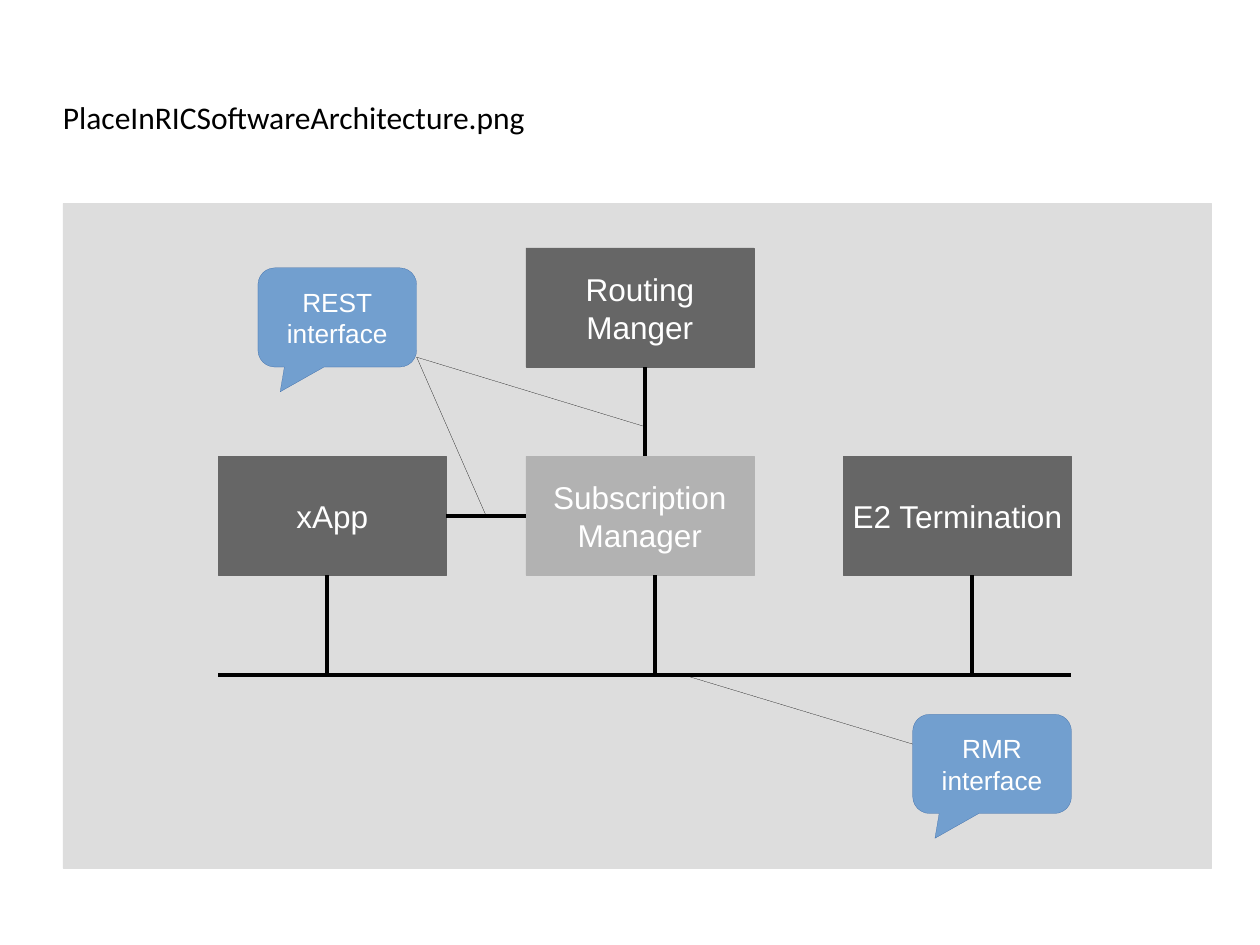
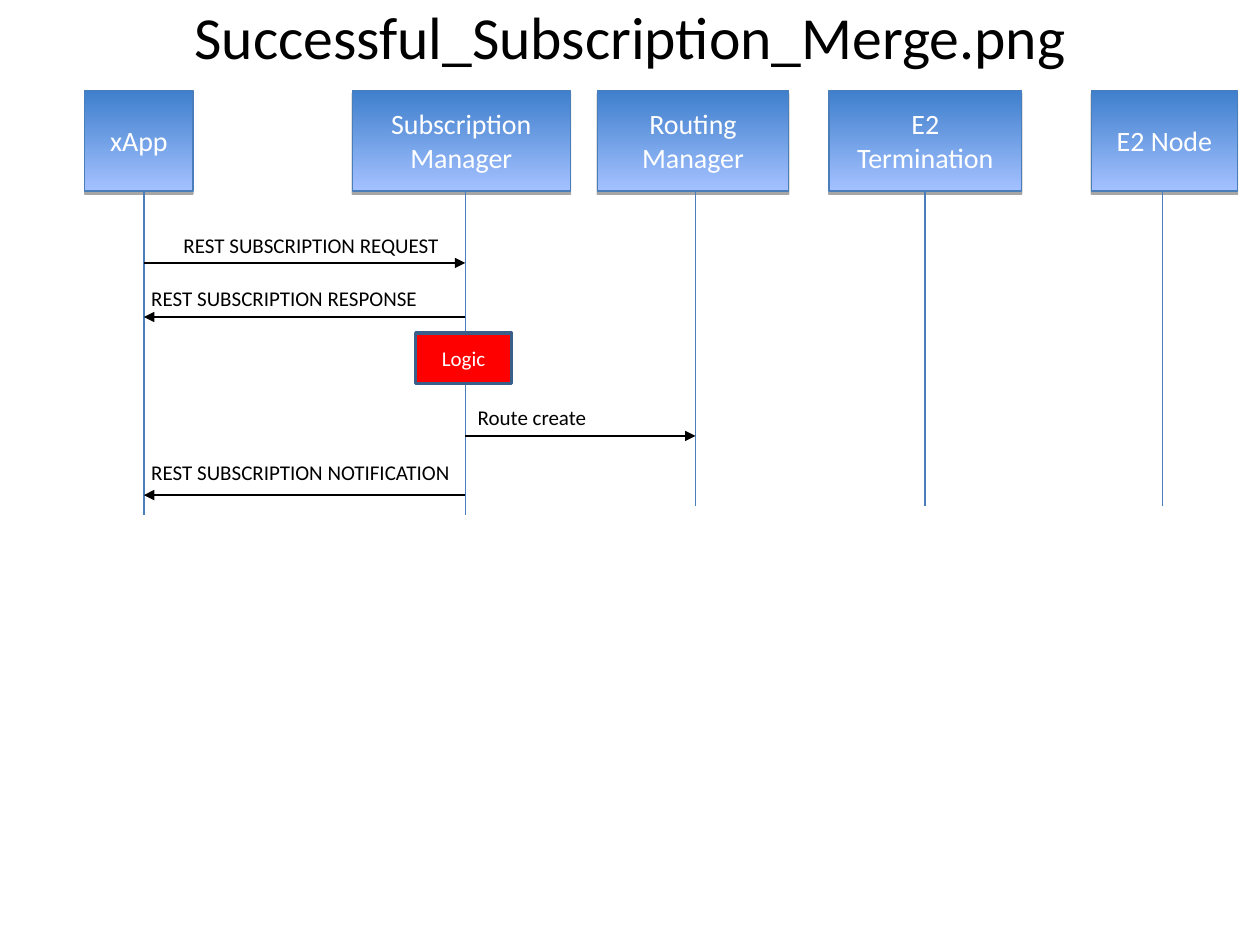
from dataclasses import dataclass

from lxml import etree
from pptx import Presentation
from pptx.dml.color import RGBColor
from pptx.enum.shapes import MSO_CONNECTOR, MSO_SHAPE
from pptx.enum.text import MSO_ANCHOR, PP_ALIGN
from pptx.oxml.ns import qn
from pptx.shapes.autoshape import Shape
from pptx.slide import Slide
from pptx.util import Cm, Pt

RECT = MSO_SHAPE.RECTANGLE
CALLOUT = MSO_SHAPE.ROUNDED_RECTANGULAR_CALLOUT
STRAIGHT = MSO_CONNECTOR.STRAIGHT
LEFT, CENTER = PP_ALIGN.LEFT, PP_ALIGN.CENTER
TOP, MIDDLE = MSO_ANCHOR.TOP, MSO_ANCHOR.MIDDLE

BLACK = RGBColor(0x00, 0x00, 0x00)
WHITE = RGBColor(0xFF, 0xFF, 0xFF)
PANEL_GRAY = RGBColor(0xDD, 0xDD, 0xDD)
DARK_GRAY = RGBColor(0x66, 0x66, 0x66)
MID_GRAY = RGBColor(0xB2, 0xB2, 0xB2)
CALLOUT_FILL = RGBColor(0x72, 0x9F, 0xCF)
CALLOUT_LINE = RGBColor(0x34, 0x65, 0xA4)
ACTOR_TOP = RGBColor(0x3E, 0x7F, 0xCC)
ACTOR_BOTTOM = RGBColor(0xA4, 0xC1, 0xFF)
ACTOR_LINE = RGBColor(0x4A, 0x7E, 0xBB)
LOGIC_FILL = RGBColor(0xFF, 0x00, 0x00)
LOGIC_LINE = RGBColor(0x3A, 0x5F, 0x8B)

BODY_FONT, DIAGRAM_FONT = "Calibri", "Arial"
HAIRLINE = 0.1

COMPONENT_W, COMPONENT_H = 4.6, 2.4
ROW_Y, ROUTING_Y, BUS_Y = 9.2, 5.0, 13.6
CALLOUT_W, CALLOUT_H = 3.2, 2.0
ACTOR_Y, ACTOR_H = 1.82, 2.03
LABEL_H = 0.76

Point = tuple[float, float]
Box = tuple[float, float, float, float]


@dataclass(frozen=True)
class Component:
    text: str
    x: float
    y: float = ROW_Y
    fill: RGBColor = DARK_GRAY


@dataclass(frozen=True)
class Callout:
    text: str
    x: float
    y: float


@dataclass(frozen=True)
class Actor:
    text: str
    x: float
    w: float
    life_x: float
    life_end: float = 10.21


@dataclass(frozen=True)
class Message:
    text: str
    start: float
    end: float
    y: float
    label_x: float
    label_y: float
    label_w: float


COMPONENTS = [
    Component("xApp", 4.4),
    Component("Subscription\nManager", 10.6, fill=MID_GRAY),
    Component("E2 Termination", 17.0),
    Component("Routing\nManger", 10.6, y=ROUTING_Y),
]
CALLOUTS = [
    Callout("REST\ninterface", 5.2, 5.4),
    Callout("RMR\ninterface", 18.4, 14.4),
]
REST_CORNER = (8.4, 7.2)
BUS_LINKS = [
    ((13.0, ROUTING_Y + COMPONENT_H), (13.0, ROW_Y)),
    ((9.0, 10.4), (10.6, 10.4)),
    ((4.4, BUS_Y), (21.6, BUS_Y)),
    *[((x, ROW_Y + COMPONENT_H), (x, BUS_Y)) for x in (6.6, 13.2, 19.6)],
]
CALLOUT_LINKS = [
    ((13.0, 8.6), REST_CORNER),
    ((9.8, 10.4), REST_CORNER),
    ((18.4, 15.0), (13.76, BUS_Y)),
]

XAPP_X, SUBSCRIPTION_X, ROUTING_X = 2.9, 9.38, 14.02
ACTORS = [
    Actor("xApp", 1.71, 2.18, XAPP_X, 10.39),
    Actor("Subscription Manager", 7.1, 4.4, SUBSCRIPTION_X, 10.39),
    Actor("Routing\nManager", 12.04, 3.86, ROUTING_X),
    Actor("E2 Termination", 16.71, 3.89, 18.65),
    Actor("E2 Node", 22.0, 2.95, 23.44),
]
MESSAGES = [
    Message("REST SUBSCRIPTION REQUEST", XAPP_X, SUBSCRIPTION_X, 5.3,
            3.45, 4.57, 6.0),
    Message("REST SUBSCRIPTION RESPONSE", SUBSCRIPTION_X, XAPP_X, 6.39,
            2.8, 5.64, 7.49),
    Message("Route create", SUBSCRIPTION_X, ROUTING_X, 8.79,
            9.38, 8.03, 3.71),
    Message("REST SUBSCRIPTION NOTIFICATION", SUBSCRIPTION_X, XAPP_X, 9.98,
            2.8, 9.14, 8.41),
]


def put_text(sp: Shape, text: str, *, size: float, font: str = BODY_FONT,
             color: RGBColor = WHITE, align: PP_ALIGN = CENTER,
             anchor: MSO_ANCHOR = MIDDLE, wrap: bool = True,
             spacing: float = 1.0, inset: bool = True) -> None:
    tf = sp.text_frame
    tf.word_wrap = wrap
    tf.vertical_anchor = anchor
    if not inset:
        tf.margin_left = tf.margin_right = tf.margin_top = tf.margin_bottom = 0
    for i, line in enumerate(text.split("\n")):
        p = tf.paragraphs[0] if i == 0 else tf.add_paragraph()
        p.alignment = align
        p.line_spacing = spacing
        r = p.add_run()
        r.text = line
        r.font.name = font
        r.font.size = Pt(size)
        r.font.color.rgb = color


def add_text(s: Slide, box: Box, text: str, **fmt) -> None:
    put_text(s.shapes.add_textbox(*map(Cm, box)), text, color=BLACK, **fmt)


def add_box(s: Slide, box: Box, fill: RGBColor, line: RGBColor,
            width: float = HAIRLINE, kind: MSO_SHAPE = RECT) -> Shape:
    sp = s.shapes.add_shape(kind, *map(Cm, box))
    sp.shadow.inherit = False
    sp.fill.solid()
    sp.fill.fore_color.rgb = fill
    sp.line.color.rgb = line
    sp.line.width = Pt(width)
    return sp


def add_line(s: Slide, start: Point, end: Point, color: RGBColor = BLACK,
             width: float = 0.75, arrow: bool = False) -> None:
    line = s.shapes.add_connector(STRAIGHT, *map(Cm, (*start, *end)))
    line.line.color.rgb = color
    line.line.width = Pt(width)
    if arrow:
        etree.SubElement(line.get_or_add_ln(), qn("a:tailEnd"), type="triangle")
    etree.SubElement(line.element.spPr, qn("a:effectLst"))


def add_actor(s: Slide, actor: Actor) -> None:
    sp = add_box(s, (actor.x, ACTOR_Y, actor.w, ACTOR_H), ACTOR_TOP,
                 ACTOR_LINE, 0.75)
    sp.fill.gradient()
    sp.fill.gradient_angle = 270
    for stop, color in zip(sp.fill.gradient_stops, (ACTOR_TOP, ACTOR_BOTTOM)):
        stop.color.rgb = color
    effects = sp.element.spPr.find(qn("a:effectLst"))
    shadow = etree.SubElement(effects, qn("a:outerShdw"), blurRad="0",
                              dist=str(Pt(1.8)), dir="5400000",
                              rotWithShape="0")
    tint = etree.SubElement(shadow, qn("a:srgbClr"), val=str(BLACK))
    etree.SubElement(tint, qn("a:alpha"), val="35000")
    put_text(sp, actor.text, size=16)
    add_line(s, (actor.life_x, ACTOR_Y + ACTOR_H),
             (actor.life_x, actor.life_end), ACTOR_LINE)


def add_message(s: Slide, msg: Message) -> None:
    add_line(s, (msg.start, msg.y), (msg.end, msg.y), arrow=True)
    add_text(s, (msg.label_x, msg.label_y, msg.label_w, LABEL_H), msg.text,
             size=12, align=LEFT, anchor=TOP)


def build_architecture(s: Slide) -> None:
    add_box(s, (1.27, 4.1, 23.14, 13.4), PANEL_GRAY, PANEL_GRAY)
    add_text(s, (1.27, 0.76, 22.86, 3.18), "PlaceInRICSoftwareArchitecture.png",
             size=18, align=LEFT, inset=False)
    for c in COMPONENTS:
        sp = add_box(s, (c.x, c.y, COMPONENT_W, COMPONENT_H), c.fill, c.fill)
        put_text(sp, c.text, size=18, font=DIAGRAM_FONT, wrap=False)
    for start, end in BUS_LINKS:
        add_line(s, start, end, width=2.3)
    for c in CALLOUTS:
        sp = add_box(s, (c.x, c.y, CALLOUT_W, CALLOUT_H), CALLOUT_FILL,
                     CALLOUT_LINE, kind=CALLOUT)
        for i, value in enumerate((-0.36, 0.75, 0.17)):
            sp.adjustments[i] = value
        put_text(sp, c.text, size=15, font=DIAGRAM_FONT, wrap=False)
    for start, end in CALLOUT_LINKS:
        add_line(s, start, end, width=HAIRLINE)


def build_merge_sequence(s: Slide) -> None:
    add_text(s, (1.27, 0.12, 22.86, 1.47), "Successful_Subscription_Merge.png",
             size=34.1, spacing=0.8)
    for actor in ACTORS:
        add_actor(s, actor)
    for msg in MESSAGES:
        add_message(s, msg)
    logic = add_box(s, (8.38, 6.71, 1.93, 1.02), LOGIC_FILL, LOGIC_LINE, 2)
    put_text(logic, "Logic", size=12)


def main() -> None:
    prs = Presentation()
    prs.slide_width, prs.slide_height = Cm(25.4), Cm(19.05)
    blank = prs.slide_layouts[6]
    for build in (build_architecture, build_merge_sequence):
        build(prs.slides.add_slide(blank))
    prs.save("out.pptx")


if __name__ == "__main__":
    main()
